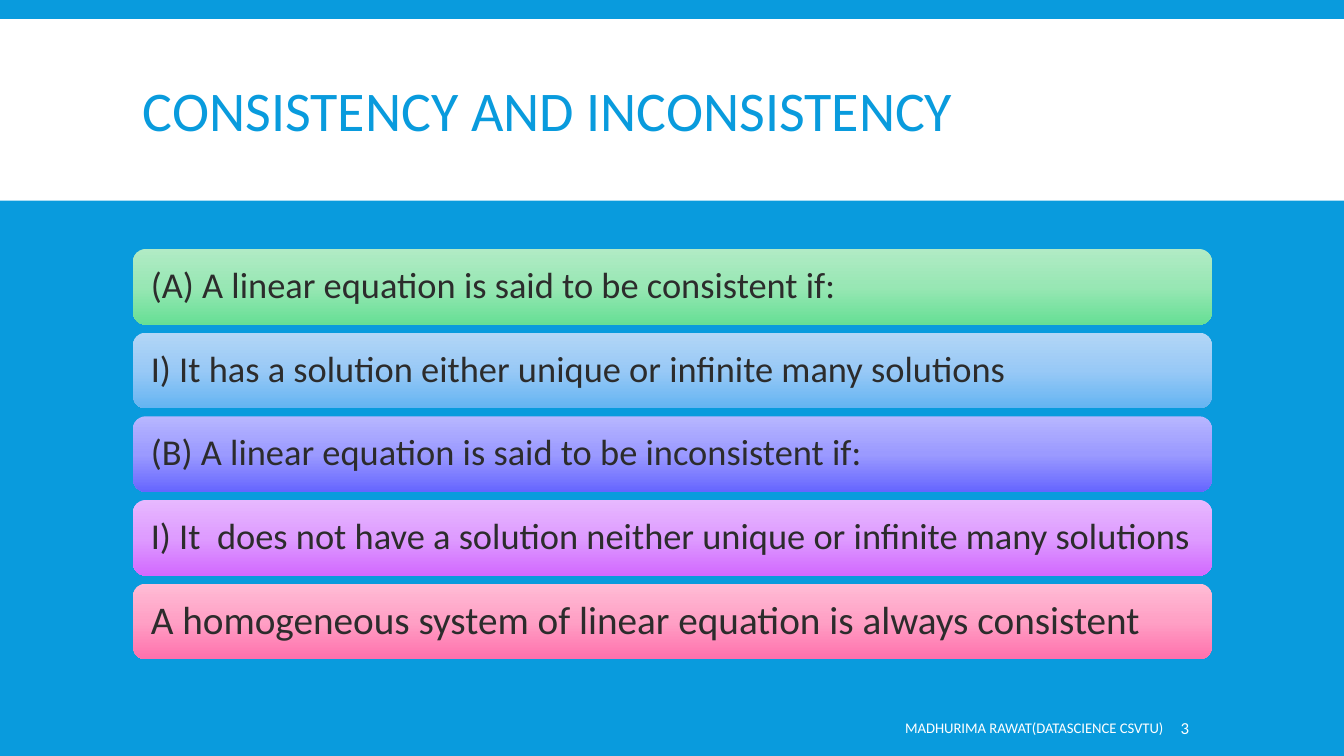
import copy
from dataclasses import dataclass

import pptx
import pptx.dml.color
import pptx.enum.shapes
import pptx.enum.text
import pptx.util

Inches = pptx.util.Inches
Align = pptx.enum.text.PP_ALIGN
Shape = pptx.enum.shapes.MSO_SHAPE


@dataclass(frozen=True)
class Theme:
    font: str = "Calibri"
    blue: str = "099BDD"
    white: str = "FFFFFF"
    ink: str = "2C2C2C"
    title_size: float = 40
    bar_size: float = 26
    closing_size: float = 28
    footer_size: float = 10.5
    number_size: float = 12
    green_bar: tuple = ("B1EBC5", "98E7B4", "66DF95")
    blue_bar: tuple = ("B3D6F6", "98C9F6", "64B4F2")
    indigo_bar: tuple = ("B7B6FF", "9B9AFF", "6666FF")
    violet_bar: tuple = ("E7B8FF", "DE9CFF", "D269FF")
    pink_bar: tuple = ("FFBCD5", "FFA0C5", "FF70AC")


def rgb(code):
    return pptx.dml.color.RGBColor.from_string(code)


class SlideBuilder:
    def __init__(self, page, theme):
        self.page = page
        self.theme = theme

    def background(self, color):
        fill = self.page.background.fill
        fill.solid()
        fill.fore_color.rgb = rgb(color)

    def shape(self, kind, left, top, width, height):
        box = self.page.shapes.add_shape(
            kind, Inches(left), Inches(top), Inches(width), Inches(height))
        box.shadow.inherit = False
        box.line.fill.background()
        return box

    def band(self, left, top, width, height, color):
        box = self.shape(Shape.RECTANGLE, left, top, width, height)
        box.fill.solid()
        box.fill.fore_color.rgb = rgb(color)

    def bar(self, left, top, width, height, text, colors, size):
        """Rounded bar, shaded from top to bottom, with its text inside."""
        box = self.shape(Shape.ROUNDED_RECTANGLE, left, top, width, height)
        box.fill.gradient()
        box.fill.gradient_angle = 270
        stop_list = box._element.xpath("./p:spPr/a:gradFill/a:gsLst")[0]
        stop_list.append(copy.deepcopy(stop_list[-1]))
        for stop, position, color in zip(box.fill.gradient_stops, (0, 0.5, 1), colors):
            stop.position = position
            stop.color.rgb = rgb(color)
        self.set_text(box, text, size, self.theme.ink, spacing=0.9, side_inset=0.14)

    def text(self, left, top, width, height, text, size, color, **options):
        box = self.page.shapes.add_textbox(
            Inches(left), Inches(top), Inches(width), Inches(height))
        self.set_text(box, text, size, color, **options)

    def set_text(self, box, text, size, color, align=Align.LEFT, spacing=1.0, side_inset=0.1):
        frame = box.text_frame
        frame.text = text
        frame.word_wrap = True
        frame.vertical_anchor = pptx.enum.text.MSO_ANCHOR.MIDDLE
        frame.margin_left = frame.margin_right = Inches(side_inset)
        frame.margin_top = frame.margin_bottom = Inches(0.05)
        para = frame.paragraphs[0]
        para.alignment = align
        para.line_spacing = spacing
        for span in para.runs:
            span.font.name = self.theme.font
            span.font.size = pptx.util.Pt(size)
            span.font.color.rgb = rgb(color)


def main():
    theme = Theme()
    deck = pptx.Presentation()
    deck.slide_width, deck.slide_height = Inches(13.33), Inches(7.5)
    builder = SlideBuilder(deck.slides.add_slide(deck.slide_layouts[6]), theme)

    builder.background(theme.blue)
    builder.band(0, 0.19, 13.33, 1.8, theme.white)

    left, width = 1.32, 10.7
    builder.text(left, 0.31, width, 1.65, "CONSISTENCY AND INCONSISTENCY",
                 theme.title_size, theme.blue, spacing=0.85)

    statements = [
        ("(A) A linear equation is said to be consistent if:",
         theme.green_bar, theme.bar_size),
        ("I) It has a solution either unique or infinite many solutions",
         theme.blue_bar, theme.bar_size),
        ("(B) A linear equation is said to be inconsistent if:",
         theme.indigo_bar, theme.bar_size),
        ("I) It  does not have a solution neither unique or infinite many solutions",
         theme.violet_bar, theme.bar_size),
        ("A homogeneous system of linear equation is always consistent",
         theme.pink_bar, theme.closing_size),
    ]
    first_top, bar_height, gap = 2.47, 0.75, 0.08
    for row, (text, colors, size) in enumerate(statements):
        top = first_top + row * (bar_height + gap)
        builder.bar(left, top, width, bar_height, text, colors, size)

    builder.text(6.12, 7.02, 5.52, 0.4, "MADHURIMA RAWAT(DATASCIENCE CSVTU)",
                 theme.footer_size, theme.white, align=Align.RIGHT)
    builder.text(11.66, 7.02, 1.03, 0.4, "3",
                 theme.number_size, theme.white, side_inset=0.05)
    deck.save("out.pptx")


if __name__ == "__main__":
    main()
